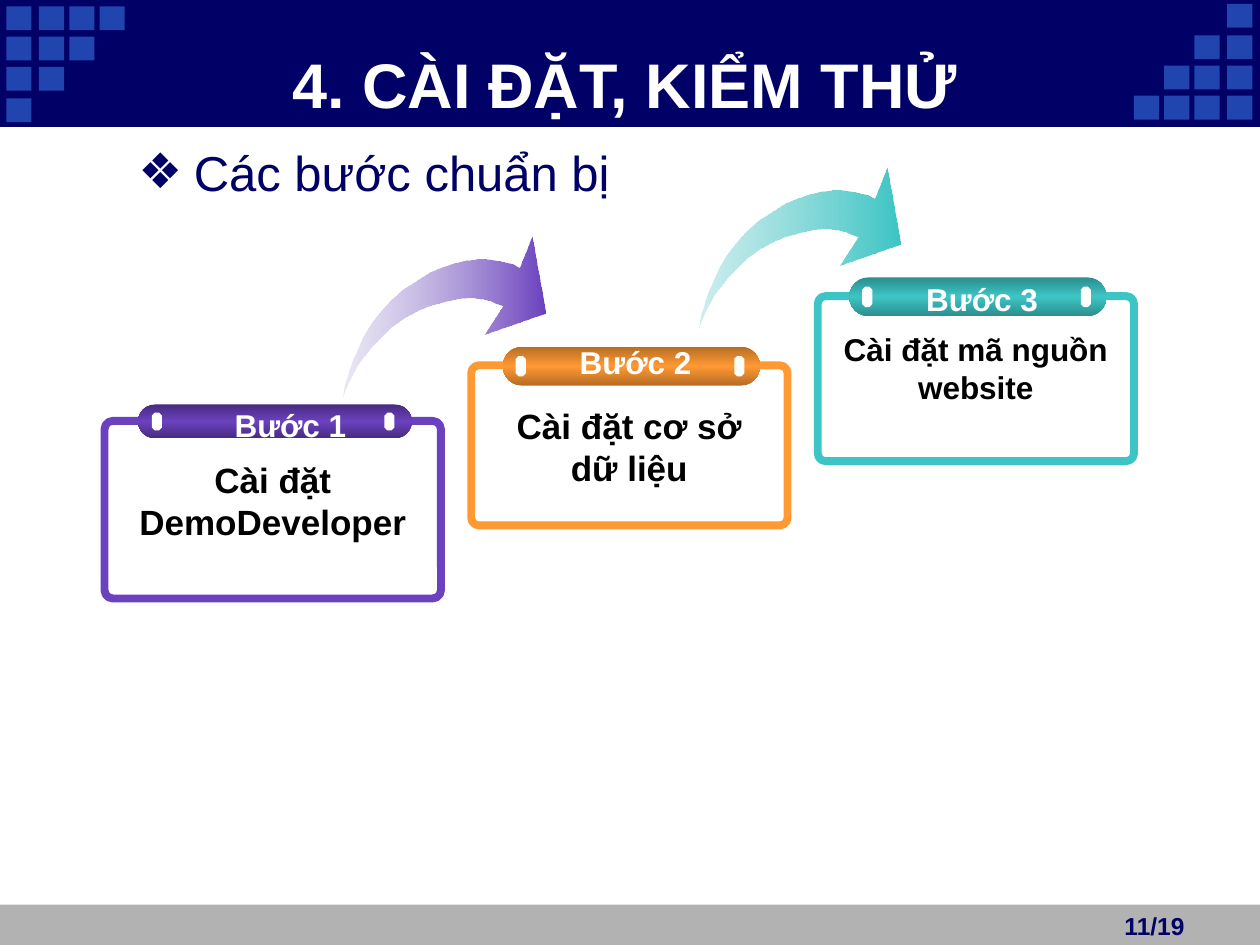
from pptx import Presentation
from pptx.dml.color import RGBColor
from pptx.enum.shapes import MSO_SHAPE
from pptx.enum.text import MSO_ANCHOR, PP_ALIGN
from pptx.oxml import parse_xml
from pptx.oxml.ns import nsdecls, qn
from pptx.util import Inches, Pt

COLORS = {
    "navy": "000066", "square": "2045AE", "footer": "B2B2B2",
    "white": "FFFFFF", "black": "000000",
    "purple": "6B41BF", "purple_dark": "472B7F", "purple_light": "BDB4DD",
    "orange": "FF9933", "orange_dark": "B66D24",
    "teal": "3DC5C5", "teal_dark": "2C8D8D", "teal_light": "67CBCB",
}

deck = Presentation()
deck.slide_width, deck.slide_height = Inches(10), Inches(7.5)
slide = deck.slides.add_slide(deck.slide_layouts[6])

# Grid of 10 columns by 7.5 rows
COL, ROW = deck.slide_width / 10, deck.slide_height / 7.5

# Curved arrow outline, in columns and rows from its box corner
ARROW = [
    (0, 1.27), (.01, 1.23), (.05, 1.14), (.12, 1.01), (.23, .87), (.38, .72),
    (.48, .65), (.59, .59), (.69, .55), (.80, .52), (.89, .50), (.97, .49),
    (1.04, .49), (1.11, .50), (1.16, .51), (1.20, .53), (1.26, .55),
    (1.11, .78), (1.60, .61), (1.49, 0), (1.39, .25), (1.34, .22), (1.25, .20),
    (1.13, .18), (1.05, .18), (.97, .19), (.88, .21), (.79, .24), (.69, .28),
    (.58, .35), (.47, .42), (.37, .51), (.29, .60), (.22, .69), (.16, .79),
    (.12, .88), (.08, .97), (.05, 1.05), (.03, 1.12), (.01, 1.18),
]


def color(name):
    return RGBColor.from_string(COLORS[name])


def to_emu(box):
    x, y, w, h = box
    return round(x * COL), round(y * ROW), round(w * COL), round(h * ROW)


def add_box(box, fill=None, line=None, width=0.75, kind=MSO_SHAPE.RECTANGLE, corner=None):
    shape = slide.shapes.add_shape(kind, *to_emu(box))
    shape.shadow.inherit = False
    if corner is not None:
        shape.adjustments[0] = corner
    if fill:
        shape.fill.solid()
        shape.fill.fore_color.rgb = color(fill)
    else:
        shape.fill.background()
    if line:
        shape.line.color.rgb = color(line)
        shape.line.width = Pt(width)
    else:
        shape.line.fill.background()
    return shape


def set_gradient(shape, stops, angle):
    """Stops are (position %, colour name, opacity %)."""
    shape.fill.background()
    marks = "".join(
        f'<a:gs pos="{pos * 1000}"><a:srgbClr val="{COLORS[name]}">'
        f'<a:alpha val="{opacity * 1000}"/></a:srgbClr></a:gs>'
        for pos, name, opacity in stops)
    properties = shape._element.spPr
    properties.replace(properties.find(qn("a:noFill")), parse_xml(
        f'<a:gradFill {nsdecls("a")} rotWithShape="1"><a:gsLst>{marks}</a:gsLst>'
        f'<a:lin ang="{angle * 60000}" scaled="0"/></a:gradFill>'))


def add_text(box, text, size=18, ink="white", bold=True, align=PP_ALIGN.CENTER,
             anchor=MSO_ANCHOR.TOP, wrap=True, spacing=None, bullet=None, indent=0.44):
    frame = slide.shapes.add_textbox(*to_emu(box)).text_frame
    frame.word_wrap, frame.vertical_anchor = wrap, anchor
    paragraph = frame.paragraphs[0]
    paragraph.alignment, paragraph.line_spacing = align, spacing
    run = paragraph.add_run()
    run.text = text
    run.font.name, run.font.size, run.font.bold = "Arial", Pt(size), bold
    run.font.color.rgb = color(ink)
    if bullet:
        props = paragraph._p.get_or_add_pPr()
        props.set("marL", str(Inches(indent)))
        props.set("indent", str(-Inches(indent)))
        props.append(parse_xml(f'<a:buFont {nsdecls("a")} typeface="Arial"/>'))
        props.append(parse_xml(f'<a:buChar {nsdecls("a")} char="{bullet}"/>'))


def add_header(box, title):
    x, y, w, h = box
    add_box(box, "navy", line="navy")
    # Stepped squares: left corner, and the same turned half a circle
    size_x, size_y = .2, .19
    for row, top in enumerate((.05, .29, .53, .78)):
        for left in (.05, .31, .55, .79)[:4 - row]:
            add_box((x + left, y + top, size_x, size_y), "square")
            add_box((x + w - .01 - left - size_x, y + h - top - size_y, size_x, size_y), "square")
    add_text((x + .92, y + .35, 8.08, .62), title, size=36, anchor=MSO_ANCHOR.MIDDLE)


def add_footer(box, page):
    x, y, w, h = box
    add_box(box, "footer")
    add_text((x + 7.83, y, 1.67, h), page, size=14, ink="navy", align=PP_ALIGN.RIGHT)


def add_arrow(x, y, hue):
    points = [(round((x + dx) * COL), round((y + dy) * ROW)) for dx, dy in ARROW]
    builder = slide.shapes.build_freeform(*points[0])
    builder.add_line_segments(points[1:], close=True)
    arrow = builder.convert_to_shape()
    arrow.shadow.inherit = False
    arrow.line.fill.background()
    set_gradient(arrow, [(0, hue + "_light", 32), (100, hue, 100)], 0)


def add_step(box, hue, label, body, bar_height, label_shift, label_top, body_top, body_size):
    x, y, w, h = box
    add_box(box, line=hue, width=4.5, kind=MSO_SHAPE.ROUNDED_RECTANGLE, corner=.047)
    # Glossy bar with two studs across the top edge
    bar_x, bar_y, bar_w = x + .1 * w, y - .48 * bar_height, .813 * w
    bar = add_box((bar_x, bar_y, bar_w, bar_height),
                  kind=MSO_SHAPE.ROUNDED_RECTANGLE, corner=.5)
    set_gradient(bar, [(0, hue + "_dark", 100), (50, hue, 100), (100, hue + "_dark", 100)], 90)
    for share in (.05, .9):
        add_box((bar_x + share * bar_w, bar_y + .24 * bar_height, .08, .52 * bar_height),
                "white", kind=MSO_SHAPE.OCTAGON, corner=.293)
    # Step label and description
    label_w = 1.1
    add_text((x + (w - label_w) / 2 + label_shift, y + label_top, label_w, .4), label, wrap=False)
    add_text((x + .09, y + body_top, w - .18, .7), body, size=body_size, ink="black")


add_footer((0, 7.18, 10, .33), "11/19")
add_header((0, 0, 10, 1), "4. CÀI ĐẶT, KIỂM THỬ")
add_text((1, 1.17, 4.33, .48), "Các bước chuẩn bị", size=28, ink="navy", bold=False,
         align=PP_ALIGN.LEFT, spacing=.8, bullet="❖")

add_arrow(5.55, 1.33, "teal")
add_arrow(2.73, 1.88, "purple")

# Steps rising from left to right
add_step((.83, 3.34, 2.67, 1.41), "purple", "Bước 1", "Cài đặt DemoDeveloper",
         .27, .14, -.17, .25, 20)
add_step((3.74, 2.9, 2.51, 1.27), "orange", "Bước 2", "Cài đặt cơ sở dữ liệu",
         .31, .05, -.23, .26, 20)
add_step((6.49, 2.35, 2.51, 1.31), "teal", "Bước 3", "Cài đặt mã nguồn website",
         .31, .05, -.18, .22, 18)

deck.save("out.pptx")
